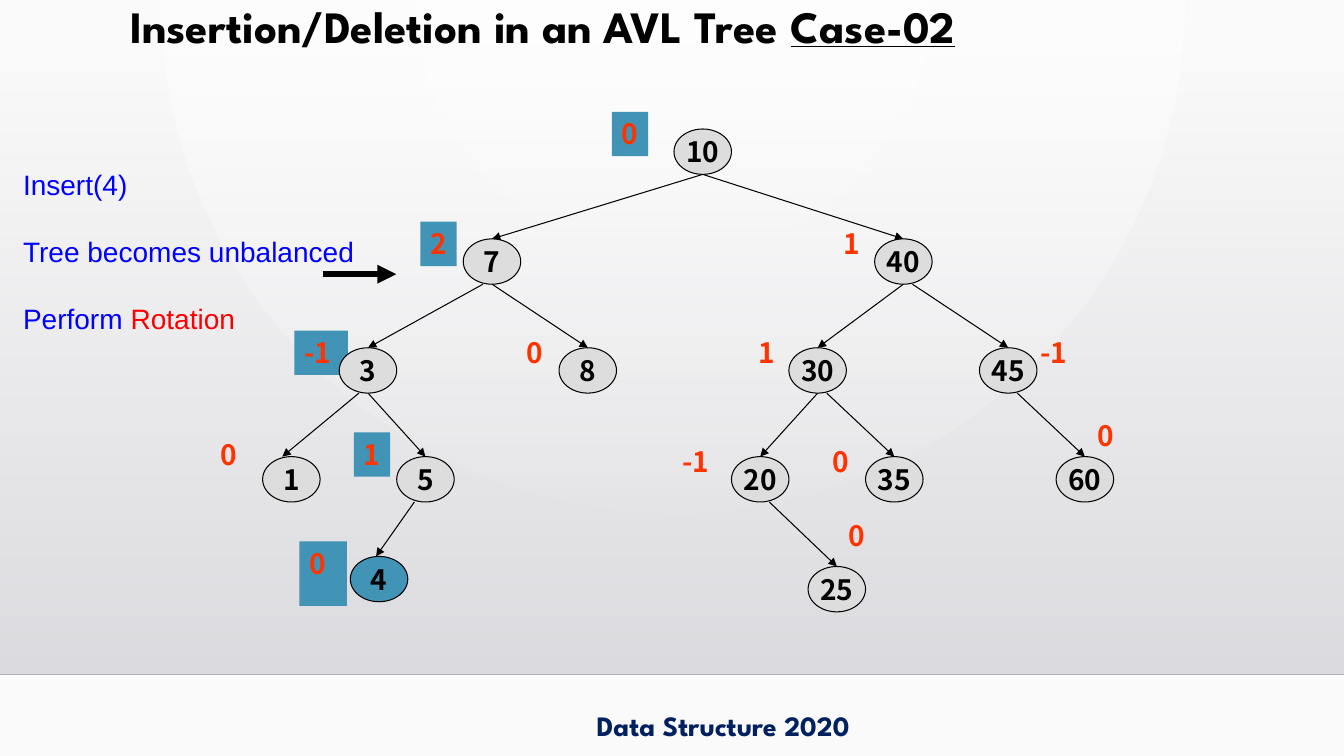
import math
import pptx
import pptx.util
import pptx.dml.color
import pptx.enum.shapes
import pptx.enum.text
import pptx.oxml
import pptx.oxml.ns
import lxml.etree

Inches = pptx.util.Inches
SHAPES = pptx.enum.shapes.MSO_SHAPE
COLORS = {
    "page": "FAFAFA",
    "white": "FFFFFF",
    "panel_top": "DCDCE0",
    "panel_bottom": "DADADE",
    "separator": "B2B2B4",
    "black": "000000",
    "footer": "002060",
    "note": "0000FF",
    "rotation": "FF0000",
    "factor": "FF3300",
    "node": "DDDDDD",
    "highlight": "4294B6",
}
NODE_FONT = "Noto Sans CJK KR"
TITLE_FONT = "League Spartan"
NODE_WIDTH, NODE_HEIGHT = 0.57, 0.45


def add_span(para, text, font="Arial", size=20, color="black", bold=False, underline=False):
    span = para.add_run()
    span.text = text
    span.font.name = font
    span.font.size = pptx.util.Pt(size)
    span.font.bold = bold
    span.font.underline = underline
    span.font.color.rgb = pptx.dml.color.RGBColor.from_string(COLORS[color])


def fade(shape, stops):
    shape.shadow.inherit = False
    shape.line.fill.background()
    shape.fill.gradient()
    shape.fill.gradient_angle = 270
    for stop, (color, alpha) in zip(shape.fill.gradient_stops, stops):
        stop.color.rgb = pptx.dml.color.RGBColor.from_string(COLORS[color])
    tags = shape.element.spPr.findall(".//" + pptx.oxml.ns.qn("a:srgbClr"))
    for tag, (color, alpha) in zip(tags, stops):
        lxml.etree.SubElement(tag, pptx.oxml.ns.qn("a:alpha"), val=str(alpha * 1000))


deck = pptx.Presentation()
deck.slide_width = Inches(13.33)
deck.slide_height = Inches(7.5)
page = deck.slides.add_slide(deck.slide_layouts[5])
page.background.fill.solid()
page.background.fill.fore_color.rgb = pptx.dml.color.RGBColor.from_string(COLORS["page"])

panel = page.shapes.add_shape(SHAPES.RECTANGLE, 0, Inches(0.51), Inches(13.33), Inches(6.18))
fade(panel, [("panel_top", 0), ("panel_bottom", 100)])

for radius in (5.08, 2.55):
    arc = [
        (6.67 + radius * math.cos(math.radians(angle)), radius * math.sin(math.radians(angle)))
        for angle in range(0, 181, 3)
    ]
    builder = page.shapes.build_freeform(Inches(arc[0][0]), Inches(arc[0][1]))
    builder.add_line_segments([(Inches(x), Inches(y)) for x, y in arc[1:]], close=True)
    fade(builder.convert_to_shape(), [("white", 60), ("white", 5)])

title = page.shapes.title
title.element.getparent().append(title.element)
title.left, title.top, title.width, title.height = map(Inches, (1.19, 0, 10.39, 1.15))
title.text_frame.word_wrap = True
title.text_frame.vertical_anchor = pptx.enum.text.MSO_ANCHOR.TOP
para = title.text_frame.paragraphs[0]
para.alignment = pptx.enum.text.PP_ALIGN.LEFT
para.line_spacing = 0.9
add_span(para, "Insertion/Deletion in an AVL Tree ", font=TITLE_FONT, size=32, bold=True)
add_span(para, "Case-02", font=TITLE_FONT, size=32, bold=True, underline=True)

footer = page.shapes.add_textbox(Inches(5.82), Inches(6.98), Inches(2.83), Inches(0.44))
footer.text_frame.word_wrap = True
add_span(footer.text_frame.paragraphs[0], "Data Structure 2020", font=TITLE_FONT, color="footer", bold=True)

notes = page.shapes.add_textbox(Inches(0.13), Inches(1.61), Inches(3.91), Inches(1.78))
notes.text_frame.word_wrap = True
steps = [
    [("Insert(4)", "note")],
    [("Tree becomes unbalanced", "note")],
    [("Perform ", "note"), ("Rotation", "rotation")],
]
for index, step in enumerate(steps):
    para = notes.text_frame.add_paragraph() if index else notes.text_frame.paragraphs[0]
    if index:
        para.space_before = pptx.util.Pt(24)
    for text, color in step:
        add_span(para, text, color=color)

factors = [
    ("0", 6.07, 1.11, True), ("2", 4.17, 2.2, True), ("-1", 2.92, 3.28, True),
    ("0", 2.09, 4.29, False), ("1", 3.51, 4.29, True), ("0", 5.12, 3.28, False),
    ("1", 8.27, 2.2, False), ("1", 7.42, 3.28, False), ("-1", 6.67, 4.36, False),
    ("0", 8.16, 4.36, False), ("-1", 10.22, 3.28, False), ("0", 10.79, 4.1, False),
    ("0", 8.32, 5.09, False), ("0", 2.97, 5.37, True),
]
for text, left, top, highlighted in factors:
    width, height = (0.53 if text == "-1" else 0.36), 0.44
    if (left, top) == (2.97, 5.37):
        width, height = 0.47, 0.64
    box = page.shapes.add_textbox(Inches(left), Inches(top), Inches(width), Inches(height))
    if highlighted:
        box.fill.solid()
        box.fill.fore_color.rgb = pptx.dml.color.RGBColor.from_string(COLORS["highlight"])
    frame = box.text_frame
    frame.word_wrap = True
    frame.margin_right = 0
    add_span(frame.paragraphs[0], text, font=NODE_FONT, color="factor", bold=True)

nodes = {
    "10": (6.97, 1.28, None, 0, 0),
    "7": (4.88, 2.37, "10", 0, 0),
    "40": (8.96, 2.37, "10", 0, 0),
    "3": (3.65, 3.45, "7", -0.09, 0),
    "8": (5.83, 3.45, "7", 0, 0),
    "30": (8.11, 3.45, "40", 0, 0),
    "45": (10, 3.45, "40", 0.09, 0),
    "1": (2.89, 4.53, "3", -0.09, -0.09),
    "5": (4.22, 4.53, "3", 0, 0),
    "20": (7.54, 4.53, "30", 0, 0),
    "35": (8.87, 4.53, "30", 0.09, 0),
    "60": (10.76, 4.53, "45", 0.09, 0),
    "25": (8.3, 5.62, "20", 0.09, 0),
    "4": (3.76, 5.52, "5", -0.11, -0.03),
}
lines = [(0, 6.69, 13.33, 6.69, "separator", 1, False), (3.2, 2.72, 3.93, 2.72, "black", 4.5, True)]
for center, top, parent, start_shift, end_shift in nodes.values():
    if parent:
        parent_center, parent_top = nodes[parent][:2]
        start = (parent_center + start_shift, parent_top + NODE_HEIGHT)
        lines.append((*start, center + end_shift, top, "black", 0.75, True))

for x1, y1, x2, y2, color, weight, arrow in lines:
    line = page.shapes.add_connector(
        pptx.enum.shapes.MSO_CONNECTOR.STRAIGHT, Inches(x1), Inches(y1), Inches(x2), Inches(y2)
    )
    line.line.color.rgb = pptx.dml.color.RGBColor.from_string(COLORS[color])
    line.line.width = pptx.util.Pt(weight)
    if arrow:
        outline = line.element.spPr.find(pptx.oxml.ns.qn("a:ln"))
        lxml.etree.SubElement(outline, pptx.oxml.ns.qn("a:tailEnd"), type="triangle")
    lxml.etree.SubElement(line.element.spPr, pptx.oxml.ns.qn("a:effectLst"))

for text, (center, top, *links) in nodes.items():
    node = page.shapes.add_shape(
        SHAPES.OVAL, Inches(center - NODE_WIDTH / 2), Inches(top), Inches(NODE_WIDTH), Inches(NODE_HEIGHT)
    )
    node.shadow.inherit = False
    node.fill.solid()
    fill = "highlight" if text == "4" else "node"
    node.fill.fore_color.rgb = pptx.dml.color.RGBColor.from_string(COLORS[fill])
    node.line.color.rgb = pptx.dml.color.RGBColor.from_string(COLORS["black"])
    node.line.width = pptx.util.Pt(0.75)
    frame = node.text_frame
    frame.word_wrap = False
    frame.margin_left = frame.margin_right = frame.margin_top = frame.margin_bottom = 0
    frame.vertical_anchor = pptx.enum.text.MSO_ANCHOR.MIDDLE
    frame.paragraphs[0].alignment = pptx.enum.text.PP_ALIGN.CENTER
    add_span(frame.paragraphs[0], text, font=NODE_FONT, bold=True)

deck.save("out.pptx")
